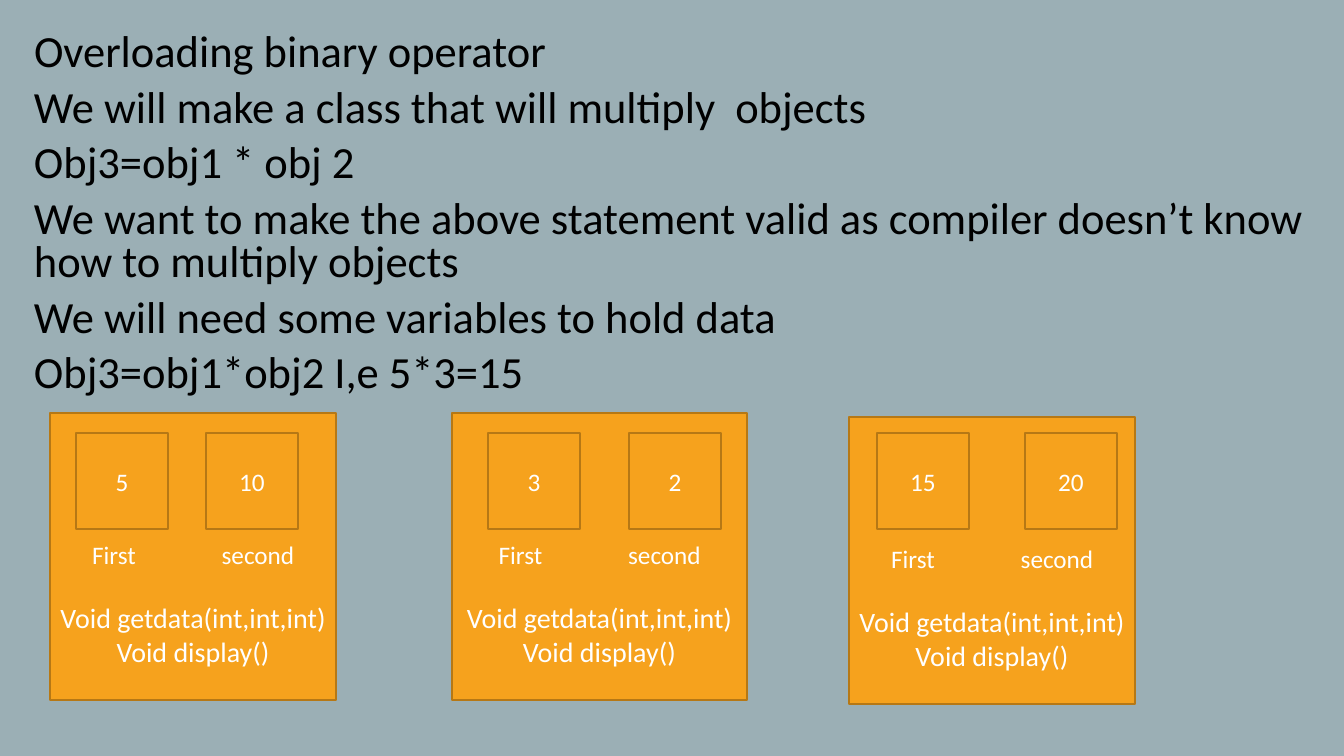
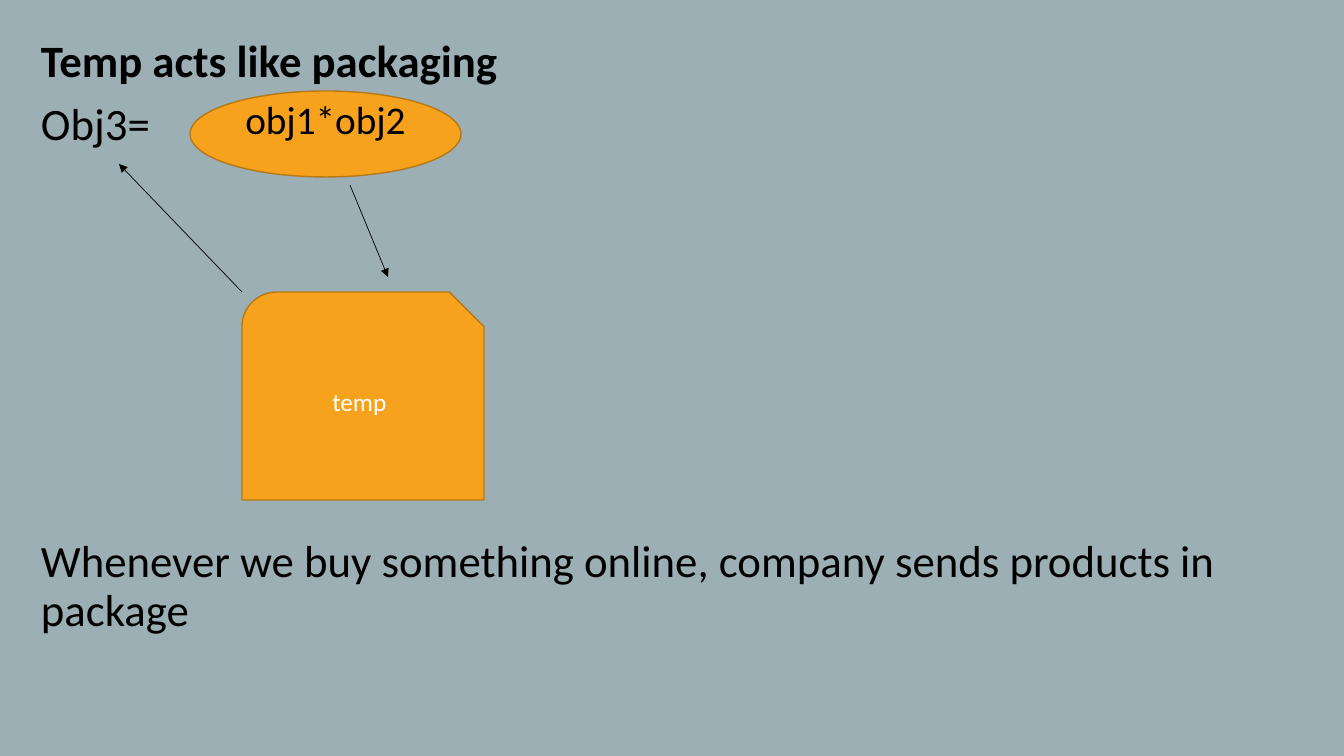
import pptx
import pptx.util
import pptx.dml.color
import pptx.enum.shapes
import pptx.enum.text
import pptx.oxml.ns
import lxml.etree

SCALE = 914400 / 100.8
FONT = "Calibri"
HUES = {"back": "9BAFB5", "fill": "F6A21D", "edge": "B67815",
        "dark": "000000", "light": "FFFFFF"}
KIND = pptx.enum.shapes.MSO_SHAPE
ALIGN = pptx.enum.text.PP_ALIGN
ANCHOR = pptx.enum.text.MSO_ANCHOR

LEAD = "Overloading binary operator"
STEPS = [
    "We will make a class that will multiply  objects",
    "Obj3=obj1 * obj 2",
    "We want to make the above statement valid as compiler doesn’t know "
    "how to multiply objects",
    "We will need some variables to hold data",
    "Obj3=obj1*obj2 I,e 5*3=15",
]
CARDS = [
    {"box": (50, 413, 286, 287), "cells": [(76, "5"), (206, "10")]},
    {"box": (452, 413, 295, 287), "cells": [(488, "3"), (629, "2")]},
    {"box": (849, 417, 286, 287), "cells": [(877, "15"), (1025, "20")]},
]
CALLS = ["Void getdata(int,int,int)", "Void display()"]
NAMES = [("First", -79), ("second", 65)]
CELL_TOP, CELL_W, CELL_H = 433, 92, 96
NAME_DROP, NAME_W, NAME_H = 126, 100, 31

PACK = "Temp acts like packaging"
NOTES = [
    ("Obj3=", (31, 97, 150, 60)),
    ("Whenever we buy something online, company sends products in package",
     (31, 534, 1302, 110)),
]
ARROWS = [(350, 185, 388, 277), (242, 292, 119, 164)]


def px(num):
    return pptx.util.Emu(round(num * SCALE))


def hue(name):
    return pptx.dml.color.RGBColor.from_string(HUES[name])


def place(shape, box):
    shape.left, shape.top, shape.width, shape.height = map(px, box)


def write(shape, lines, size, color="dark", bold=False, align=ALIGN.LEFT,
          anchor=ANCHOR.TOP, pads=(10, 5, 10, 5), lead=None, gap=0):
    frame = shape.text_frame
    frame.text = "\n".join(lines)
    frame.word_wrap = True
    frame.auto_size = pptx.enum.text.MSO_AUTO_SIZE.NONE
    frame.vertical_anchor = anchor
    (frame.margin_left, frame.margin_top,
     frame.margin_right, frame.margin_bottom) = map(px, pads)
    for order, para in enumerate(frame.paragraphs):
        para.alignment = align
        para.space_before = pptx.util.Pt(gap if order else 0)
        if lead:
            para.line_spacing = lead
        for run in para.runs:
            run.font.name = FONT
            run.font.size = pptx.util.Pt(size)
            run.font.bold = bold
            run.font.color.rgb = hue(color)


def add_page(deck, title, box, **style):
    page = deck.slides.add_slide(deck.slide_layouts[5])
    place(page.shapes.title, box)
    write(page.shapes.title, [title], **style)
    return page


def add_text(page, box, lines, **style):
    write(page.shapes.add_textbox(*map(px, box)), lines, **style)


def add_block(page, kind, box, lines, size=18, color="light",
              anchor=ANCHOR.MIDDLE, pads=(0, 0, 0, 0)):
    shape = page.shapes.add_shape(kind, *map(px, box))
    shape.shadow.inherit = False
    shape.fill.solid()
    shape.fill.fore_color.rgb = hue("fill")
    shape.line.color.rgb = hue("edge")
    shape.line.width = pptx.util.Pt(1)
    write(shape, lines, size, color, align=ALIGN.CENTER, anchor=anchor,
          pads=pads)


def add_arrow(page, ends):
    line = page.shapes.add_connector(
        pptx.enum.shapes.MSO_CONNECTOR.STRAIGHT, *map(px, ends))
    line.line.color.rgb = hue("dark")
    line.line.width = pptx.util.Pt(0.5)
    name = pptx.oxml.ns.qn
    edge = line.line._get_or_add_ln()
    lxml.etree.SubElement(edge, name("a:tailEnd"), type="triangle")
    lxml.etree.SubElement(line._element.spPr, name("a:effectLst"))


def add_card(page, card):
    left, top, width, height = card["box"]
    add_block(page, KIND.RECTANGLE, card["box"], CALLS, size=20,
              anchor=ANCHOR.BOTTOM, pads=(0, 0, 0, 32))
    for x, value in card["cells"]:
        add_block(page, KIND.RECTANGLE, (x, CELL_TOP, CELL_W, CELL_H), [value])
    for name, shift in NAMES:
        x = left + width / 2 + shift - NAME_W / 2
        add_text(page, (x, top + NAME_DROP, NAME_W, NAME_H), [name], size=18,
                 color="light", align=ALIGN.CENTER, pads=(0, 0, 0, 0))


def add_class(deck):
    style = {"size": 31.8, "lead": 0.8}
    page = add_page(deck, LEAD, (24, 28, 1302, 56), **style)
    add_text(page, (24, 84, 1302, 325), STEPS, gap=9.3, **style)
    for card in CARDS:
        add_card(page, card)


def add_temp(deck):
    style = {"size": 32, "lead": 0.9}
    page = add_page(deck, PACK, (31, 34, 1302, 60), bold=True, **style)
    for note, box in NOTES:
        add_text(page, box, [note], **style)
    add_block(page, KIND.SNIP_ROUND_RECTANGLE, (242, 292, 242, 208), ["temp"])
    add_block(page, KIND.OVAL, (190, 91, 271, 86), ["obj1*obj2"], size=28,
              color="dark", pads=(0, 0, 0, 31))
    for ends in ARROWS:
        add_arrow(page, ends)


def main():
    deck = pptx.Presentation()
    deck.slide_width, deck.slide_height = px(1344), px(756)
    back = deck.slide_master.background.fill
    back.solid()
    back.fore_color.rgb = hue("back")
    add_class(deck)
    add_temp(deck)
    deck.save("out.pptx")


if __name__ == "__main__":
    main()
